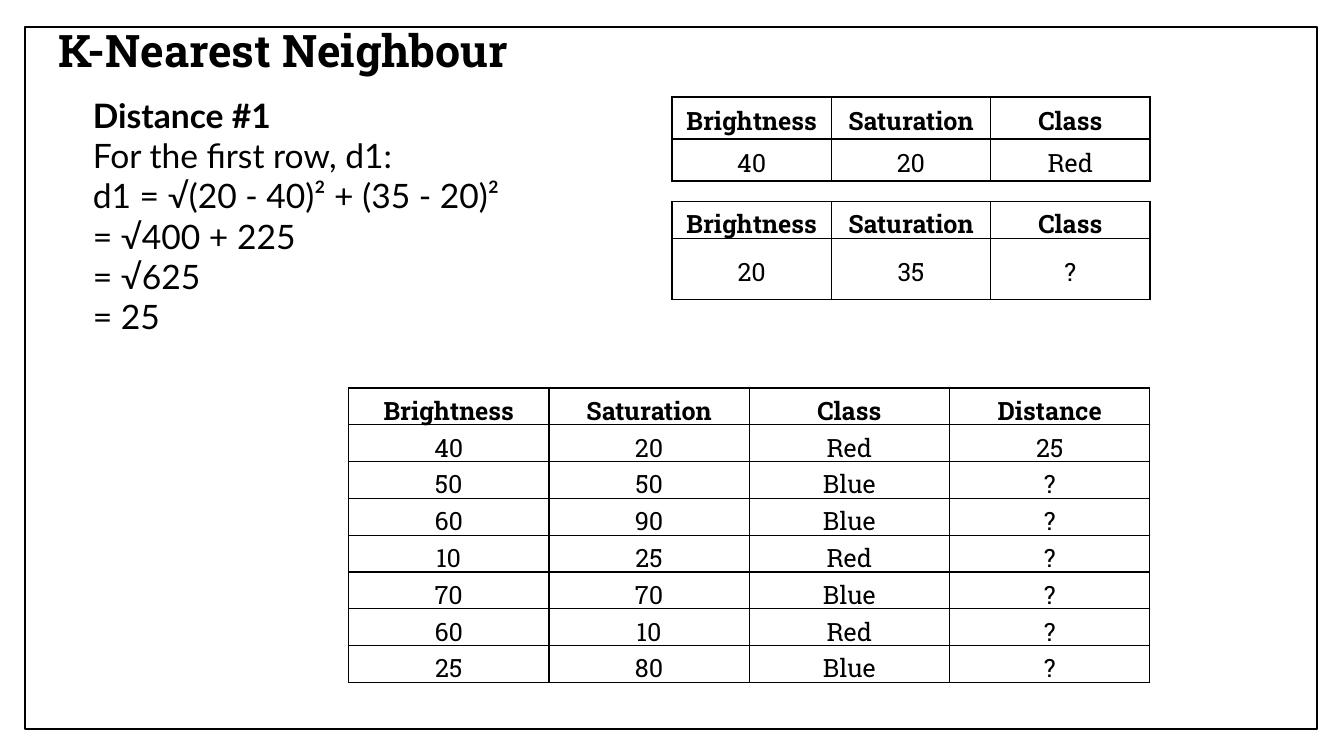
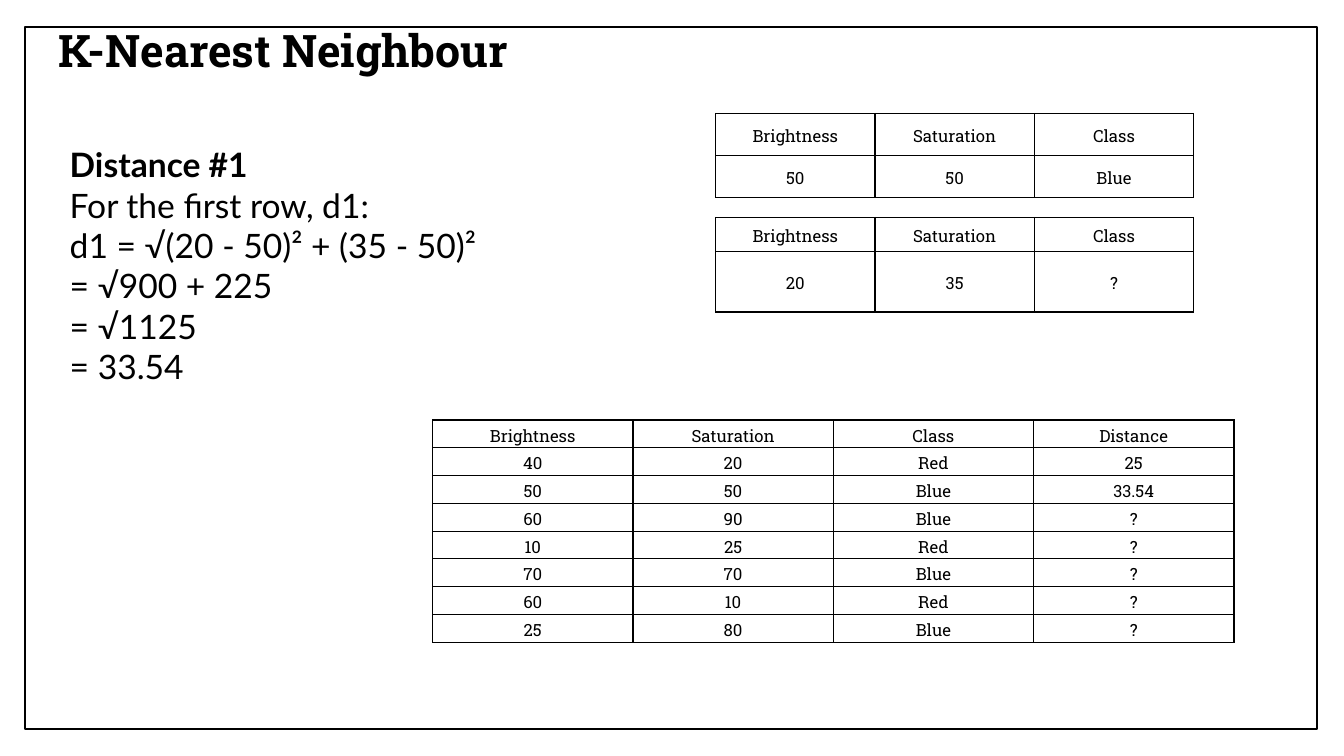
import lxml.etree
import pptx
import pptx.dml.color
import pptx.enum.shapes
import pptx.enum.text
import pptx.oxml.ns
import pptx.util

# Slide grid: 160 columns by 90 rows of square cells
COLUMNS, ROWS = 160, 90
CELL = pptx.util.Inches(7.5) / ROWS

INK, PAPER = "000000", "FFFFFF"
SERIF, SANS = "Roboto Slab", "Lato"
LEFT = pptx.enum.text.PP_ALIGN.LEFT
CENTER = pptx.enum.text.PP_ALIGN.CENTER
MIDDLE = pptx.enum.text.MSO_ANCHOR.MIDDLE
FIT = pptx.enum.text.MSO_AUTO_SIZE

HEADER = ["Brightness", "Saturation", "Class"]
UNKNOWN_POINT = [20, 35, "?"]
SAMPLES = [
    [40, 20, "Red"],
    [50, 50, "Blue"],
    [60, 90, "Blue"],
    [10, 25, "Red"],
    [70, 70, "Blue"],
    [60, 10, "Red"],
    [25, 80, "Blue"],
]


def grid(cells):
    return pptx.util.Emu(round(cells * CELL))


def color(hex_string):
    return pptx.dml.color.RGBColor.from_string(hex_string)


def write(paragraph, text, font=SERIF, size=18, bold=False, align=LEFT,
          line_spacing=1.0, after=0):
    paragraph.alignment = align
    paragraph.line_spacing = line_spacing
    paragraph.space_before = pptx.util.Pt(0)
    paragraph.space_after = pptx.util.Pt(after)
    run = paragraph.add_run()
    run.text = str(text)
    run.font.name = font
    run.font.size = pptx.util.Pt(size)
    run.font.bold = bold
    run.font.color.rgb = color(INK)


def remove_bullet(paragraph):
    properties = paragraph._p.get_or_add_pPr()
    properties.set("marL", "0")
    properties.set("indent", "0")
    lxml.etree.SubElement(properties, pptx.oxml.ns.qn("a:buNone"))


def draw_borders(cell):
    properties = cell._tc.get_or_add_tcPr()
    for side in ("lnL", "lnR", "lnT", "lnB"):
        line = lxml.etree.SubElement(properties, pptx.oxml.ns.qn("a:" + side),
                                     w=str(pptx.util.Pt(1)))
        fill = lxml.etree.SubElement(line, pptx.oxml.ns.qn("a:solidFill"))
        lxml.etree.SubElement(fill, pptx.oxml.ns.qn("a:srgbClr"), val=INK)


class Deck:
    def __init__(self):
        self.presentation = pptx.Presentation()
        self.presentation.slide_width = grid(COLUMNS)
        self.presentation.slide_height = grid(ROWS)
        self.slide = None

    def place(self, shape, left, top, width, height):
        shape.left, shape.top = grid(left), grid(top)
        shape.width, shape.height = grid(width), grid(height)

    def add_slide(self, title):
        layout = self.presentation.slide_layouts[1]
        self.slide = self.presentation.slides.add_slide(layout)
        self.add_title(title)
        self.add_border()

    def add_title(self, text):
        title = self.slide.shapes.title
        self.place(title, 5.75, 1.3, 145.7, 9.1)
        title.text_frame.vertical_anchor = MIDDLE
        title.text_frame.auto_size = FIT.NONE
        write(title.text_frame.paragraphs[0], text, size=32, bold=True)

    def add_border(self):
        border = self.slide.shapes.add_shape(
            pptx.enum.shapes.MSO_SHAPE.RECTANGLE,
            grid(3), grid(3.2), grid(153.8), grid(83.6))
        border.shadow.inherit = False
        border.fill.solid()
        border.fill.fore_color.rgb = color(PAPER)
        border.line.color.rgb = color(INK)
        border.line.width = pptx.util.Pt(1)
        # The border lies behind the title
        self.slide.shapes.title.element.addprevious(border.element)

    def add_working(self, lines, left, top, width):
        body = self.slide.placeholders[1]
        self.place(body, left, top, width, 30.25)
        frame = body.text_frame
        frame.vertical_anchor = MIDDLE
        frame.auto_size = FIT.SHAPE_TO_FIT_TEXT
        for index, line in enumerate(lines):
            paragraph = frame.add_paragraph() if index else frame.paragraphs[0]
            write(paragraph, line, font=SANS, size=24, bold=index == 0)
            remove_bullet(paragraph)

    def add_table(self, rows, left, top, column_width, row_heights, size,
                  bold_header):
        column_count = len(rows[0])
        table = self.slide.shapes.add_table(
            len(rows), column_count, grid(left), grid(top),
            grid(column_width * column_count), grid(sum(row_heights))).table
        table.first_row = table.horz_banding = False
        for column in table.columns:
            column.width = grid(column_width)
        for row_index, values in enumerate(rows):
            table.rows[row_index].height = grid(row_heights[row_index])
            for column_index, value in enumerate(values):
                cell = table.cell(row_index, column_index)
                cell.margin_left = cell.margin_right = pptx.util.Inches(0.01)
                cell.margin_top = cell.margin_bottom = pptx.util.Inches(0.01)
                cell.vertical_anchor = MIDDLE
                draw_borders(cell)
                cell.fill.background()
                write(cell.text_frame.paragraphs[0], value, size=size,
                      bold=bold_header and row_index == 0, align=CENTER,
                      line_spacing=1.15, after=8)


def add_distance_slide(deck, sample, distances, steps, working_at, pair_left,
                       pair_tops, header_height, all_at, all_row_height, size,
                       bold_header):
    deck.add_slide("K-Nearest Neighbour")
    deck.add_working(["Distance #1", "For the first row, d1:"] + steps,
                     *working_at)

    # The sample compared with the unknown point
    style = {"size": size, "bold_header": bold_header}
    pair = [(sample, [5, 5]), (UNKNOWN_POINT, [header_height, 7.25])]
    for top, (point, heights) in zip(pair_tops, pair):
        deck.add_table([HEADER, point], pair_left, top, 18.97, heights, **style)

    # All samples with the distances known so far
    known = distances + ["?"] * (len(SAMPLES) - len(distances))
    rows = [HEADER + ["Distance"]]
    rows += [point + [distance] for point, distance in zip(SAMPLES, known)]
    deck.add_table(rows, *all_at, 23.85, [all_row_height] * len(rows), **style)


def main():
    deck = Deck()
    add_distance_slide(
        deck, SAMPLES[0], [25],
        ["d1 = √(20 - 40)² + (35 - 20)²", "= √400 + 225", "= √625", "= 25"],
        working_at=(9.85, 10.55, 53.2), pair_left=80, pair_tops=(11.55, 24),
        header_height=4.15, all_at=(41.5, 46.2), all_row_height=4.15,
        size=18, bold_header=True)
    add_distance_slide(
        deck, SAMPLES[1], [25, 33.54],
        ["d1 = √(20 - 50)² + (35 - 50)²", "= √900 + 225", "= √1125",
         "= 33.54"],
        working_at=(7.1, 16.45, 53.9), pair_left=85.2, pair_tops=(13.5, 25.9),
        header_height=4, all_at=(51.5, 50), all_row_height=3.31,
        size=12, bold_header=False)
    deck.presentation.save("out.pptx")


if __name__ == "__main__":
    main()
